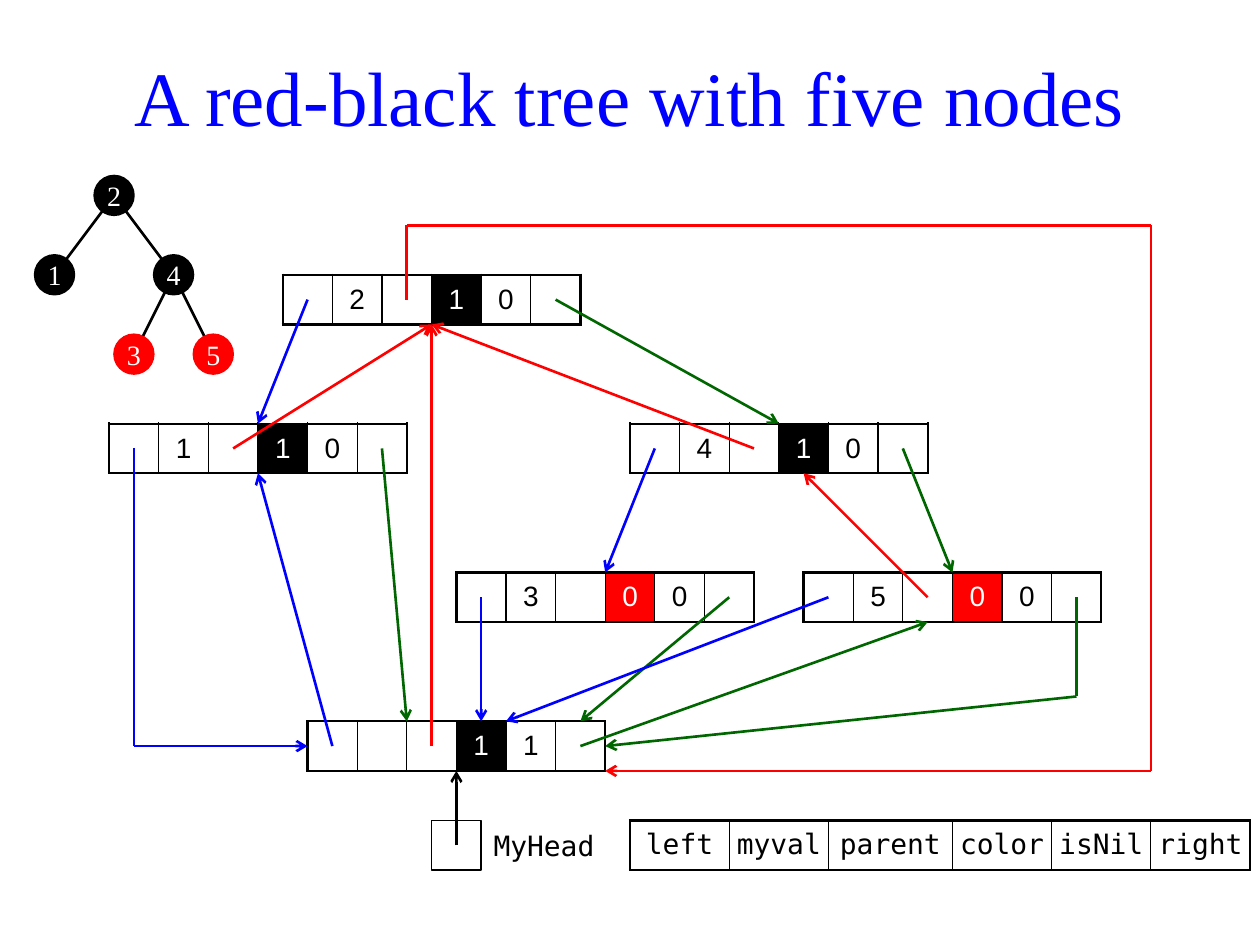
from itertools import pairwise

from lxml import etree
from pptx import Presentation
from pptx import util as u
from pptx.dml.color import RGBColor
from pptx.enum import shapes, text
from pptx.oxml import ns

EMU_PER_PX = 7200
CELL = 50
BLACK, WHITE, RED, BLUE, GREEN = "000000", "FFFFFF", "FF0000", "0000FF", "006600"
SERIF, SANS, MONO = "Times New Roman", "Arial", "DejaVu Sans Mono"
LEFT, PARENT, RIGHT = 0, 2, 5


def px(length):
    return u.Emu(length * EMU_PER_PX)


def color(hex_value):
    return RGBColor.from_string(hex_value)


class Diagram:
    size = 16
    line_width = 1.5

    def __init__(self, slide):
        self.slide = slide

    def set_text(self, frame, content, font_name, font_color, size=size, align=text.PP_ALIGN.CENTER):
        frame.text = content
        paragraph = frame.paragraphs[0]
        paragraph.alignment = align
        paragraph.font.name = font_name
        paragraph.font.size = u.Pt(size)
        paragraph.font.color.rgb = color(font_color)
        return paragraph

    def title(self, content, left, top, width, height):
        shape = self.slide.shapes.title
        shape.left, shape.top, shape.width, shape.height = map(px, (left, top, width, height))
        self.set_text(shape.text_frame, content, SERIF, BLUE, size=44).line_spacing = 0.9

    def shape(self, kind, left, top, width, height, fill, line):
        shape = self.slide.shapes.add_shape(kind, *map(px, (left, top, width, height)))
        shape.shadow.inherit = False
        shape.fill.solid()
        shape.fill.fore_color.rgb = color(fill)
        shape.line.color.rgb = color(line)
        shape.line.width = u.Pt(1)
        return shape

    def circle(self, content, x, y, fill, radius=20):
        shape = self.shape(shapes.MSO_SHAPE.OVAL, x - radius, y - radius,
                           2 * radius, 2 * radius, fill, fill)
        frame = shape.text_frame
        frame.margin_left = frame.margin_right = frame.margin_top = frame.margin_bottom = 0
        frame.vertical_anchor = text.MSO_ANCHOR.MIDDLE
        self.set_text(frame, content, SERIF, WHITE)

    def label(self, content, left, top, width, height):
        frame = self.slide.shapes.add_textbox(*map(px, (left, top, width, height))).text_frame
        frame.word_wrap = True
        frame.vertical_anchor = text.MSO_ANCHOR.MIDDLE
        self.set_text(frame, content, MONO, BLACK, align=text.PP_ALIGN.LEFT)

    def border(self, cell, side, width):
        line = etree.SubElement(cell._tc.get_or_add_tcPr(), ns.qn(f"a:{side}"), w=str(u.Pt(width)))
        fill = etree.SubElement(line, ns.qn("a:solidFill"))
        etree.SubElement(fill, ns.qn("a:srgbClr"), val=BLACK)

    def record(self, left, top, contents, widths, font_name, fills):
        frame = self.slide.shapes.add_table(1, len(contents), px(left), px(top),
                                            px(sum(widths)), px(CELL))
        table = frame.table
        table.first_row = table.horz_banding = False
        table.rows[0].height = px(CELL)
        last = len(contents) - 1
        for index, (content, width) in enumerate(zip(contents, widths)):
            table.columns[index].width = px(width)
            cell = table.cell(0, index)
            cell.margin_left = cell.margin_right = cell.margin_top = cell.margin_bottom = 0
            cell.vertical_anchor = text.MSO_ANCHOR.MIDDLE
            fill = fills.get(index)
            self.set_text(cell.text_frame, content, font_name, WHITE if fill else BLACK)
            self.border(cell, "lnL", 1.5 if index == 0 else 0.75)
            self.border(cell, "lnR", 1.5 if index == last else 0.75)
            self.border(cell, "lnT", 1.5)
            self.border(cell, "lnB", 1.5)
            if fill:
                cell.fill.solid()
                cell.fill.fore_color.rgb = color(fill)
            else:
                cell.fill.background()

    def route(self, line_color, *points, arrow=True):
        for start, end in pairwise(points):
            connector = self.slide.shapes.add_connector(
                shapes.MSO_CONNECTOR.STRAIGHT, *map(px, start + end))
            connector.line.color.rgb = color(line_color)
            connector.line.width = u.Pt(self.line_width)
            etree.SubElement(connector._element.spPr, ns.qn("a:effectLst"))
        if arrow:
            etree.SubElement(connector.line._get_or_add_ln(), ns.qn("a:tailEnd"), type="arrow")


NODES = {
    "2": (285, 277, BLACK),
    "1": (110, 427, BLACK),
    "4": (635, 427, BLACK),
    "3": (460, 577, RED),
    "5": (810, 577, RED),
    "": (310, 727, BLACK),
}
LINK_COLORS = {LEFT: BLUE, PARENT: RED, RIGHT: GREEN}
LINKS = [
    ("2", LEFT, (260, 427)),
    ("2", RIGHT, (785, 427)),
    ("2", PARENT, (410, 227), (1160, 227), (1160, 777), (610, 777)),
    ("1", LEFT, (135, 752), (310, 752)),
    ("1", PARENT, (435, 327)),
    ("1", RIGHT, (410, 727)),
    ("4", LEFT, (610, 577)),
    ("4", PARENT, (435, 327)),
    ("4", RIGHT, (960, 577)),
    ("3", LEFT, (485, 727)),
    ("3", RIGHT, (585, 727)),
    ("5", LEFT, (510, 727)),
    ("5", PARENT, (810, 477)),
    ("5", RIGHT, (1085, 702), (610, 752)),
    ("", LEFT, (260, 477)),
    ("", PARENT, (435, 327)),
    ("", RIGHT, (935, 627)),
]
TREE = {"2": (115, 197), "1": (55, 277), "4": (175, 277), "3": (135, 357), "5": (215, 357)}
BRANCHES = ["21", "24", "43", "45"]


def main():
    presentation = Presentation()
    presentation.slide_width, presentation.slide_height = u.Inches(10), u.Inches(7.5)
    diagram = Diagram(presentation.slides.add_slide(presentation.slide_layouts[5]))
    diagram.title("A red-black tree with five nodes", 60, 27, 1150, 150)

    for value, (left, top, fill) in NODES.items():
        contents = ["", value, "", "1" if fill == BLACK else "0", "0" if value else "1", ""]
        diagram.record(left, top, contents, [CELL] * 6, SANS, {3: fill})
    diagram.record(635, 827, ["left", "myval", "parent", "color", "isNil", "right"],
                   [100, 100, 125, 100, 100, 100], MONO, {})

    for value, field, *points in LINKS:
        left, top, _ = NODES[value]
        start = (left + CELL * field + CELL // 2, top + CELL // 2)
        diagram.route(LINK_COLORS[field], start, *points)

    diagram.shape(shapes.MSO_SHAPE.RECTANGLE, 435, 827, CELL, CELL, WHITE, BLACK)
    diagram.label("MyHead", 485, 827, 150, CELL)
    diagram.route(BLACK, (460, 852), (460, 777))

    for parent, child in BRANCHES:
        diagram.route(BLACK, TREE[parent], TREE[child], arrow=False)
    for value, (x, y) in TREE.items():
        diagram.circle(value, x, y, NODES[value][2])

    presentation.save("out.pptx")


if __name__ == "__main__":
    main()
